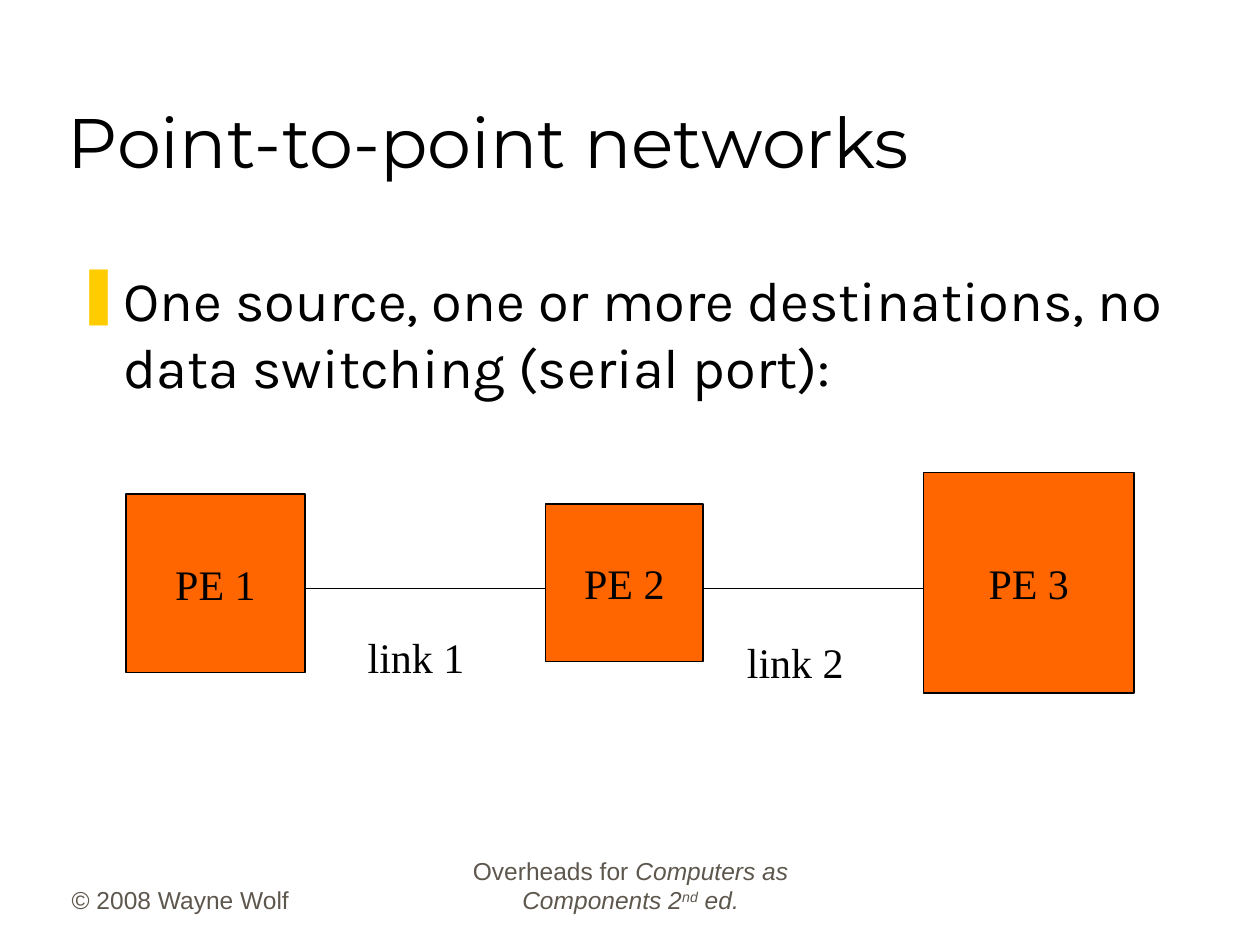
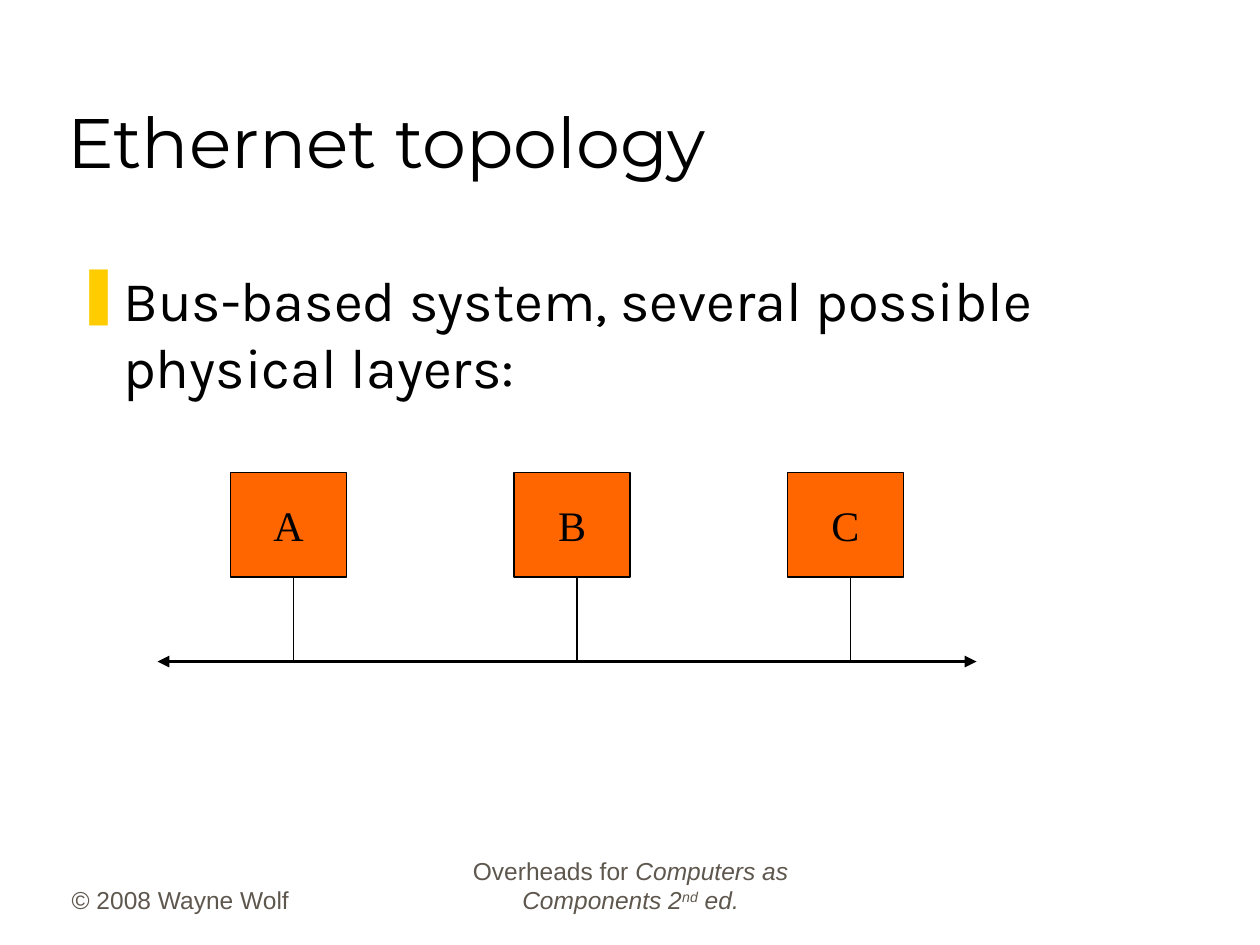
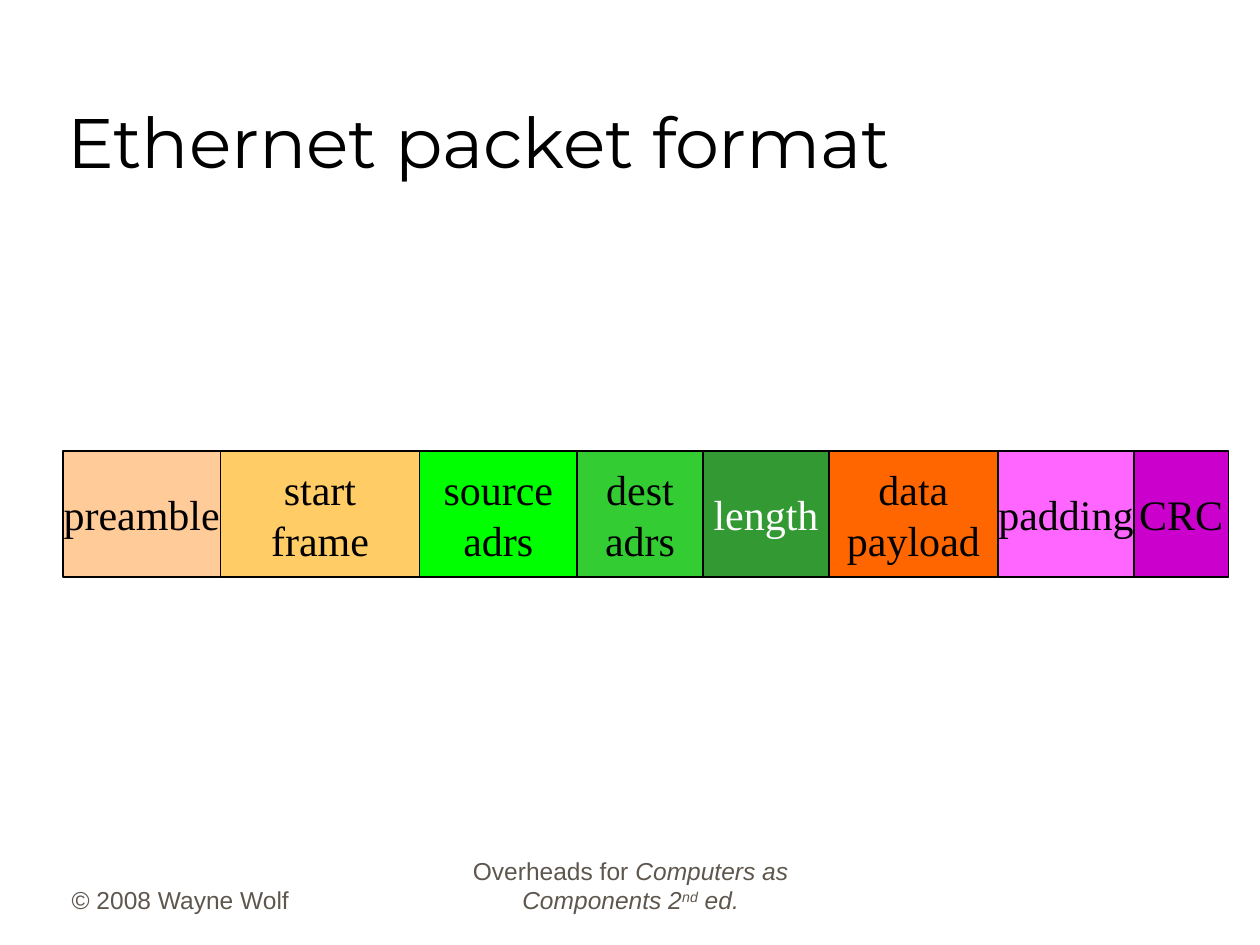
from itertools import pairwise

from lxml import etree
from pptx import Presentation
from pptx import util as u
from pptx.dml.color import RGBColor
from pptx.enum import shapes, text
from pptx.oxml.ns import qn

COLORS = {
    "black": "000000", "white": "FFFFFF", "footer": "5E574E", "bullet": "FFCC00",
    "orange": "FF6600", "peach": "FFCC99", "sand": "FFCC66", "lime": "00FF00",
    "green": "33CC33", "forest": "339933", "pink": "FF66FF", "purple": "CC00CC",
}
FORMATS = {
    "title": {"name": "Montserrat", "size": 40, "color": "black"},
    "body": {"name": "Karla", "size": 32, "color": "black"},
    "label": {"name": "Times New Roman", "size": 24, "color": "black"},
    "light": {"name": "Times New Roman", "size": 24, "color": "white"},
    "footer": {"name": "Arial", "size": 14, "color": "footer"},
}
TITLE_AT = (0.44, 0.25, 8.5, 1.25)
BODY_AT = (0.5, 2.06, 8.94, 4.56)
COPYRIGHT_AT = (0.47, 6.81, 2.08, 0.5)
BOOK_AT = (3.42, 6.81, 3.17, 0.5)
COPYRIGHT = [("© 2008 Wayne Wolf", {})]
BOOK = [
    ("Overheads for ", {}),
    ("Computers as Components 2", {"i": "1"}),
    ("nd", {"i": "1", "baseline": "30000"}),
    (" ed.", {"i": "1"}),
]

POINT_TO_POINT = {
    "title": "Point-to-point networks",
    "body": "One source, one or more destinations, no data switching (serial port):",
    "elements": [
        ("PE 1", (1, 3.92, 1.42, 1.42)),
        ("PE 2", (4.33, 4, 1.25, 1.25)),
        ("PE 3", (7.33, 3.75, 1.67, 1.75)),
    ],
    "link_y": 4.67,
    "links": [("link 1", (2.82, 4.96, 0.97, 0.5)), ("link 2", (5.83, 5, 0.97, 0.5))],
}
TOPOLOGY = {
    "title": "Ethernet topology",
    "body": "Bus-based system, several possible physical layers:",
    "nodes": [("A", 1.83), ("B", 4.08), ("C", 6.25)],
    "node_top": 3.75,
    "node_size": (0.92, 0.83),
    "tap_offset": 0.5,
    "bus": (1.25, 7.75, 5.25),
}
PACKET = {
    "title": "Ethernet packet format",
    "left": 0.5,
    "top": 3.58,
    "height": 1,
    "fields": [
        ("preamble", 1.25, "peach", "label"),
        ("start\nframe", 1.58, "sand", "label"),
        ("source\nadrs", 1.25, "lime", "label"),
        ("dest\nadrs", 1, "green", "label"),
        ("length", 1, "forest", "light"),
        ("data\npayload", 1.34, "orange", "label"),
        ("padding", 1.08, "pink", "label"),
        ("CRC", 0.75, "purple", "label"),
    ],
}


def rgb(color):
    return RGBColor.from_string(COLORS[color])


def inches(values):
    return [u.Inches(value) for value in values]


def style(font, kind):
    values = FORMATS[kind]
    for name, value in {"name": values["name"], "size": u.Pt(values["size"])}.items():
        setattr(font, name, value)
    font.color.rgb = rgb(values["color"])


def add_text(slide, place, runs, kind, anchor="TOP", align="LEFT", wrap=True):
    frame = slide.shapes.add_textbox(*inches(place)).text_frame
    frame.word_wrap = wrap
    frame.vertical_anchor = text.MSO_ANCHOR[anchor]
    paragraph = frame.paragraphs[0]
    paragraph.alignment = text.PP_ALIGN[align]
    for words, attributes in runs:
        run = paragraph.add_run()
        run.text = words
        style(run.font, kind)
        for name, value in attributes.items():
            run.font._element.set(name, value)
    return frame


def add_bullet(paragraph):
    properties = paragraph._p.get_or_add_pPr()
    properties.set("marL", str(u.Inches(0.38)))
    properties.set("indent", str(-u.Inches(0.38)))
    color = etree.SubElement(properties, qn("a:buClr"))
    etree.SubElement(color, qn("a:srgbClr"), val=COLORS["bullet"])
    etree.SubElement(properties, qn("a:buChar"), char="❚")


def add_box(slide, words, place, fill="orange", kind="label"):
    shape = slide.shapes.add_shape(shapes.MSO_SHAPE.RECTANGLE, *inches(place))
    shape.shadow.inherit = False
    shape.fill.solid()
    shape.fill.fore_color.rgb = rgb(fill)
    shape.line.color.rgb = rgb("black")
    shape.line.width = u.Pt(0.75)
    frame = shape.text_frame
    frame.word_wrap = False
    frame.vertical_anchor = text.MSO_ANCHOR.MIDDLE
    frame.text = words
    for paragraph in frame.paragraphs:
        paragraph.alignment = text.PP_ALIGN.CENTER
        for run in paragraph.runs:
            style(run.font, kind)


def add_line(slide, start, end, width=0.75, arrows=False):
    connector = slide.shapes.add_connector(
        shapes.MSO_CONNECTOR.STRAIGHT, *inches(start + end))
    connector.line.color.rgb = rgb("black")
    connector.line.width = u.Pt(width)
    if arrows:
        for tag in ("a:headEnd", "a:tailEnd"):
            etree.SubElement(connector.line._get_or_add_ln(), qn(tag), type="triangle")
    etree.SubElement(connector._element.spPr, qn("a:effectLst"))


def add_slide(presentation, content):
    slide = presentation.slides.add_slide(presentation.slide_layouts[6])
    add_text(slide, COPYRIGHT_AT, COPYRIGHT, "footer", "BOTTOM")
    add_text(slide, BOOK_AT, BOOK, "footer", "BOTTOM", "CENTER")
    add_text(slide, TITLE_AT, [(content["title"], {})], "title", "BOTTOM")
    if "body" in content:
        frame = add_text(slide, BODY_AT, [(content["body"], {})], "body")
        add_bullet(frame.paragraphs[0])
    return slide


def build_point_to_point(presentation):
    content = POINT_TO_POINT
    slide = add_slide(presentation, content)
    for words, place in content["elements"]:
        add_box(slide, words, place)
    y = content["link_y"]
    for (_, source), (_, target) in pairwise(content["elements"]):
        add_line(slide, (source[0] + source[2], y), (target[0], y))
    for words, place in content["links"]:
        frame = add_text(slide, place, [(words, {})], "label", wrap=False)
        frame.auto_size = text.MSO_AUTO_SIZE.SHAPE_TO_FIT_TEXT


def build_topology(presentation):
    content = TOPOLOGY
    slide = add_slide(presentation, content)
    top, (width, height) = content["node_top"], content["node_size"]
    bus_left, bus_right, bus_y = content["bus"]
    add_line(slide, (bus_left, bus_y), (bus_right, bus_y), 2.25, arrows=True)
    for words, left in content["nodes"]:
        add_box(slide, words, (left, top, width, height))
        tap_x = left + content["tap_offset"]
        add_line(slide, (tap_x, top + height), (tap_x, bus_y))


def build_packet(presentation):
    content = PACKET
    slide = add_slide(presentation, content)
    left = content["left"]
    for words, width, fill, kind in content["fields"]:
        add_box(slide, words, (left, content["top"], width, content["height"]), fill, kind)
        left += width


def main():
    presentation = Presentation()
    presentation.slide_width, presentation.slide_height = inches((10, 7.5))
    build_point_to_point(presentation)
    build_topology(presentation)
    build_packet(presentation)
    presentation.save("out.pptx")


if __name__ == "__main__":
    main()
